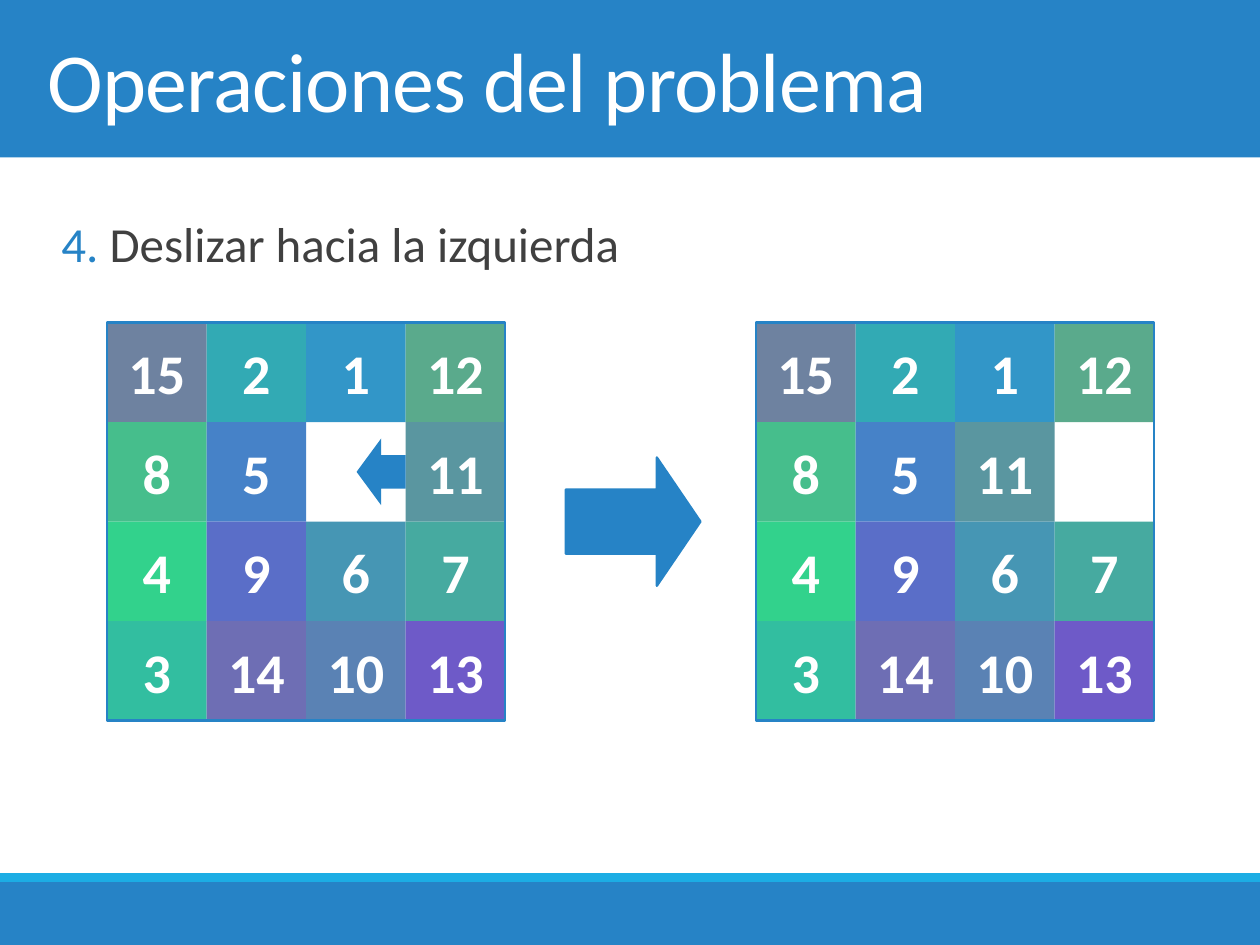
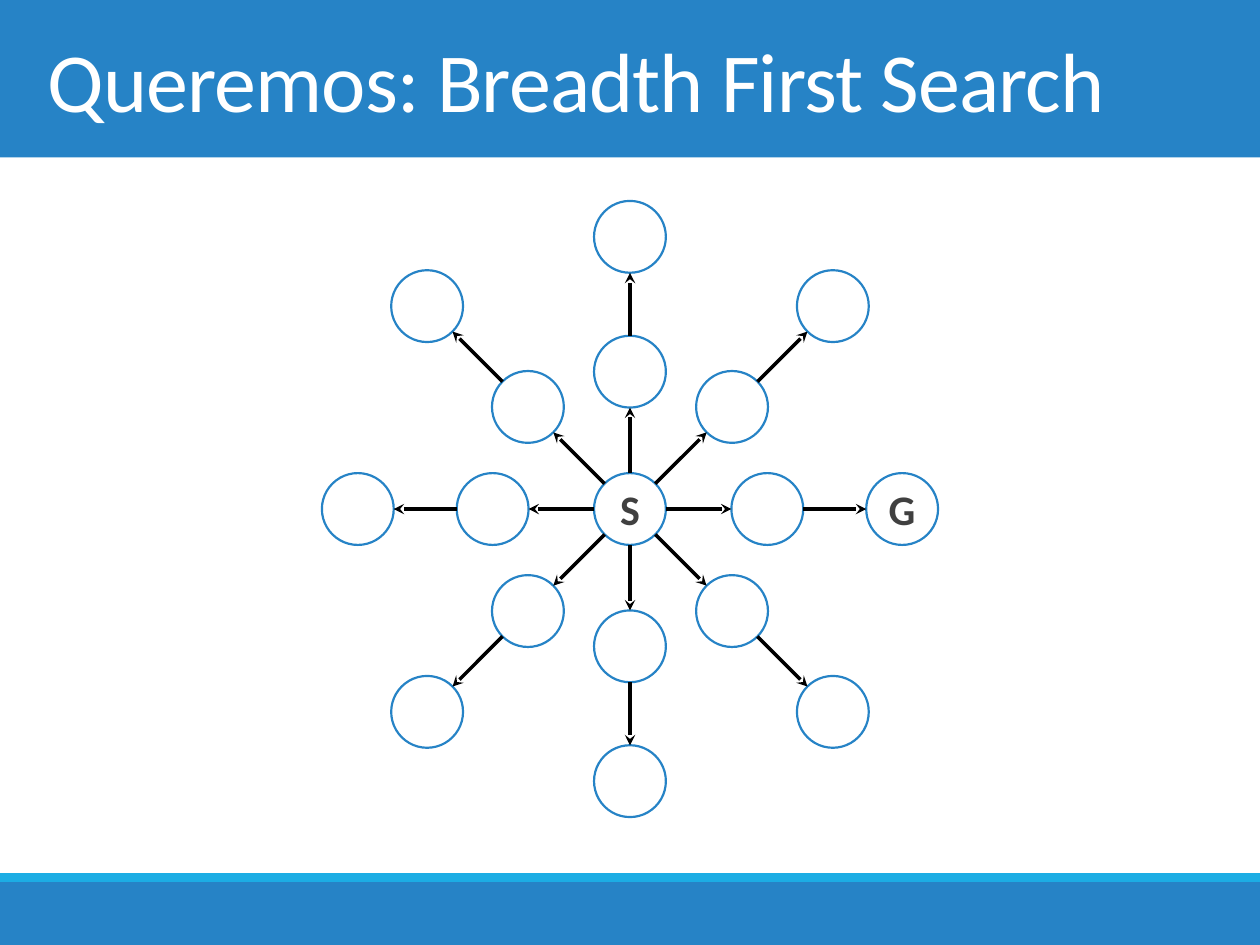
from math import hypot

from lxml import etree
from pptx import Presentation
from pptx.dml.color import RGBColor
from pptx.enum.shapes import MSO_CONNECTOR, MSO_SHAPE
from pptx.enum.text import MSO_ANCHOR, PP_ALIGN
from pptx.oxml.ns import qn
from pptx.util import Inches, Pt

RECTANGLE, ELLIPSE, RIGHT_ARROW = MSO_SHAPE.RECTANGLE, MSO_SHAPE.OVAL, MSO_SHAPE.RIGHT_ARROW
STRAIGHT = MSO_CONNECTOR.STRAIGHT
MIDDLE, TOP = MSO_ANCHOR.MIDDLE, MSO_ANCHOR.TOP
LEFT, CENTER = PP_ALIGN.LEFT, PP_ALIGN.CENTER

FONT = "Calibri"
BLUE = RGBColor(0x26, 0x83, 0xC6)
SKY = RGBColor(0x1C, 0xAD, 0xE4)
WHITE = RGBColor(0xFF, 0xFF, 0xFF)
BLACK = RGBColor(0x00, 0x00, 0x00)
DARK_GRAY = RGBColor(0x40, 0x40, 0x40)

TILE_COLORS = {
    1: RGBColor(0x32, 0x96, 0xC8),
    2: RGBColor(0x32, 0xAA, 0xB4),
    3: RGBColor(0x32, 0xBE, 0xA0),
    4: RGBColor(0x32, 0xD2, 0x8C),
    5: RGBColor(0x46, 0x82, 0xC8),
    6: RGBColor(0x46, 0x96, 0xB4),
    7: RGBColor(0x46, 0xAA, 0xA0),
    8: RGBColor(0x46, 0xBE, 0x8C),
    9: RGBColor(0x5A, 0x6E, 0xC8),
    10: RGBColor(0x5A, 0x82, 0xB4),
    11: RGBColor(0x5A, 0x96, 0xA0),
    12: RGBColor(0x5A, 0xAA, 0x8C),
    13: RGBColor(0x6E, 0x5A, 0xC8),
    14: RGBColor(0x6E, 0x6E, 0xB4),
    15: RGBColor(0x6E, 0x82, 0xA0),
}
BEFORE = [[15, 2, 1, 12], [8, 5, None, 11], [4, 9, 6, 7], [3, 14, 10, 13]]
AFTER = [[15, 2, 1, 12], [8, 5, 11, None], [4, 9, 6, 7], [3, 14, 10, 13]]

BOARD_SIZE = 3.16
NODE_SIZE = 0.57
STRAIGHT_RINGS = (1.09, 2.16)
DIAGONAL_RINGS = (0.81, 1.61)
DIRECTIONS = [(1, 0), (1, -1), (0, -1), (-1, -1), (-1, 0), (-1, 1), (0, 1), (1, 1)]
GOAL_DIRECTION = (1, 0)


def add_text(paragraph, text, size, color, bold=False, align=LEFT, spacing=None):
    paragraph.alignment = align
    run = paragraph.add_run()
    run.text = text
    run.font.name = FONT
    run.font.size = Pt(size)
    run.font.bold = bold
    run.font.color.rgb = color
    if spacing is not None:
        run._r.get_or_add_rPr().set("spc", str(round(spacing * 100)))


def add_box(slide, kind, box, fill=None, line=None):
    shape = slide.shapes.add_shape(kind, *(Inches(length) for length in box))
    shape.shadow.inherit = False
    if fill is None:
        shape.fill.background()
    else:
        shape.fill.solid()
        shape.fill.fore_color.rgb = fill
    if line is None:
        shape.line.fill.background()
    else:
        shape.line.color.rgb = line
        shape.line.width = Pt(1.25)
    return shape


def add_label(shape, text, **style):
    frame = shape.text_frame
    frame.margin_left = frame.margin_right = 0
    frame.margin_top = frame.margin_bottom = 0
    frame.vertical_anchor = MIDDLE
    add_text(frame.paragraphs[0], text, bold=True, align=CENTER, **style)


def place(placeholder, box, anchor):
    placeholder.left, placeholder.top, placeholder.width, placeholder.height = map(Inches, box)
    placeholder.text_frame.vertical_anchor = anchor


def style_master(master, slide):
    bands = [
        ((0, 0, 10, 1.25), BLUE),
        ((0, 7, 10, 0.5), BLUE),
        ((0, 6.93, 10, 0.07), SKY),
    ]
    tree = master.element.cSld.spTree
    for index, (box, color) in enumerate(bands, start=2):
        tree.insert(index, add_box(slide, RECTANGLE, box, color).element)
    title, body = list(master.placeholders)[:2]
    place(title, (0.28, 0, 9.45, 1.25), MIDDLE)
    place(body, (0.28, 1.41, 9.45, 5.36), TOP)


def add_title(slide, text):
    paragraph = slide.shapes.title.text_frame.paragraphs[0]
    add_text(paragraph, text, size=48, color=WHITE, spacing=-0.5)


def add_step(slide, number, text):
    paragraph = slide.placeholders[1].text_frame.paragraphs[0]
    paragraph.line_spacing = 1.5
    paragraph.space_before = Pt(12)
    paragraph.space_after = Pt(2)
    properties = paragraph._p.get_or_add_pPr()
    properties.set("marL", str(Inches(0.1)))
    properties.set("indent", str(-Inches(0.1)))
    etree.SubElement(properties, qn("a:buChar")).set("char", " ")
    add_text(paragraph, number, size=28, color=BLUE)
    add_text(paragraph, text, size=28, color=DARK_GRAY)


def add_board(slide, left, top, rows):
    tile_size = BOARD_SIZE / len(rows)
    for row, numbers in enumerate(rows):
        for column, number in enumerate(numbers):
            if number is None:
                continue
            box = (left + column * tile_size, top + row * tile_size, tile_size, tile_size)
            tile = add_box(slide, RECTANGLE, box, TILE_COLORS[number])
            add_label(tile, str(number), size=32, color=WHITE)
    add_box(slide, RECTANGLE, (left, top, BOARD_SIZE, BOARD_SIZE), line=BLUE)


def add_node(slide, x, y, label=None):
    box = (x - NODE_SIZE / 2, y - NODE_SIZE / 2, NODE_SIZE, NODE_SIZE)
    node = add_box(slide, ELLIPSE, box, WHITE, BLUE)
    if label:
        add_label(node, label, size=24, color=DARK_GRAY)


def add_edge(slide, start, end):
    (x1, y1), (x2, y2) = start, end
    trim = NODE_SIZE / 2 / hypot(x2 - x1, y2 - y1)
    dx, dy = (x2 - x1) * trim, (y2 - y1) * trim
    ends = (x1 + dx, y1 + dy, x2 - dx, y2 - dy)
    edge = slide.shapes.add_connector(STRAIGHT, *(Inches(length) for length in ends))
    edge.line.color.rgb = BLACK
    edge.line.width = Pt(2)
    etree.SubElement(edge.line._get_or_add_ln(), qn("a:tailEnd")).set("type", "stealth")
    etree.SubElement(edge.element.spPr, qn("a:effectLst"))


def add_search_graph(slide, x, y):
    add_node(slide, x, y, "S")
    branches = []
    for dx, dy in DIRECTIONS:
        rings = DIAGONAL_RINGS if dx and dy else STRAIGHT_RINGS
        inner, outer = [(x + dx * ring, y + dy * ring) for ring in rings]
        add_node(slide, *inner)
        add_node(slide, *outer, "G" if (dx, dy) == GOAL_DIRECTION else None)
        branches.append((inner, outer))
    for inner, outer in branches:
        add_edge(slide, (x, y), inner)
        add_edge(slide, inner, outer)


def build_slide_move(slide):
    add_title(slide, "Operaciones del problema")
    add_step(slide, "4. ", "Deslizar hacia la izquierda")
    result_arrow = add_box(slide, RIGHT_ARROW, (4.49, 3.63, 1.07, 1.02), BLUE, BLUE)
    result_arrow.adjustments[1] = 0.34
    add_board(slide, 0.85, 2.56, BEFORE)
    add_board(slide, 6, 2.56, AFTER)
    slide_arrow = add_box(slide, RIGHT_ARROW, (2.83, 3.48, 0.39, 0.53), BLUE)
    slide_arrow.rotation = 180


def build_slide_search(slide):
    add_title(slide, "Queremos: Breadth First Search")
    add_search_graph(slide, 5, 4.04)


def main():
    deck = Presentation()
    deck.slide_width, deck.slide_height = Inches(10), Inches(7.5)
    move = deck.slides.add_slide(deck.slide_layouts[1])
    style_master(deck.slide_master, move)
    build_slide_move(move)
    build_slide_search(deck.slides.add_slide(deck.slide_layouts[5]))
    deck.save("out.pptx")


if __name__ == "__main__":
    main()
